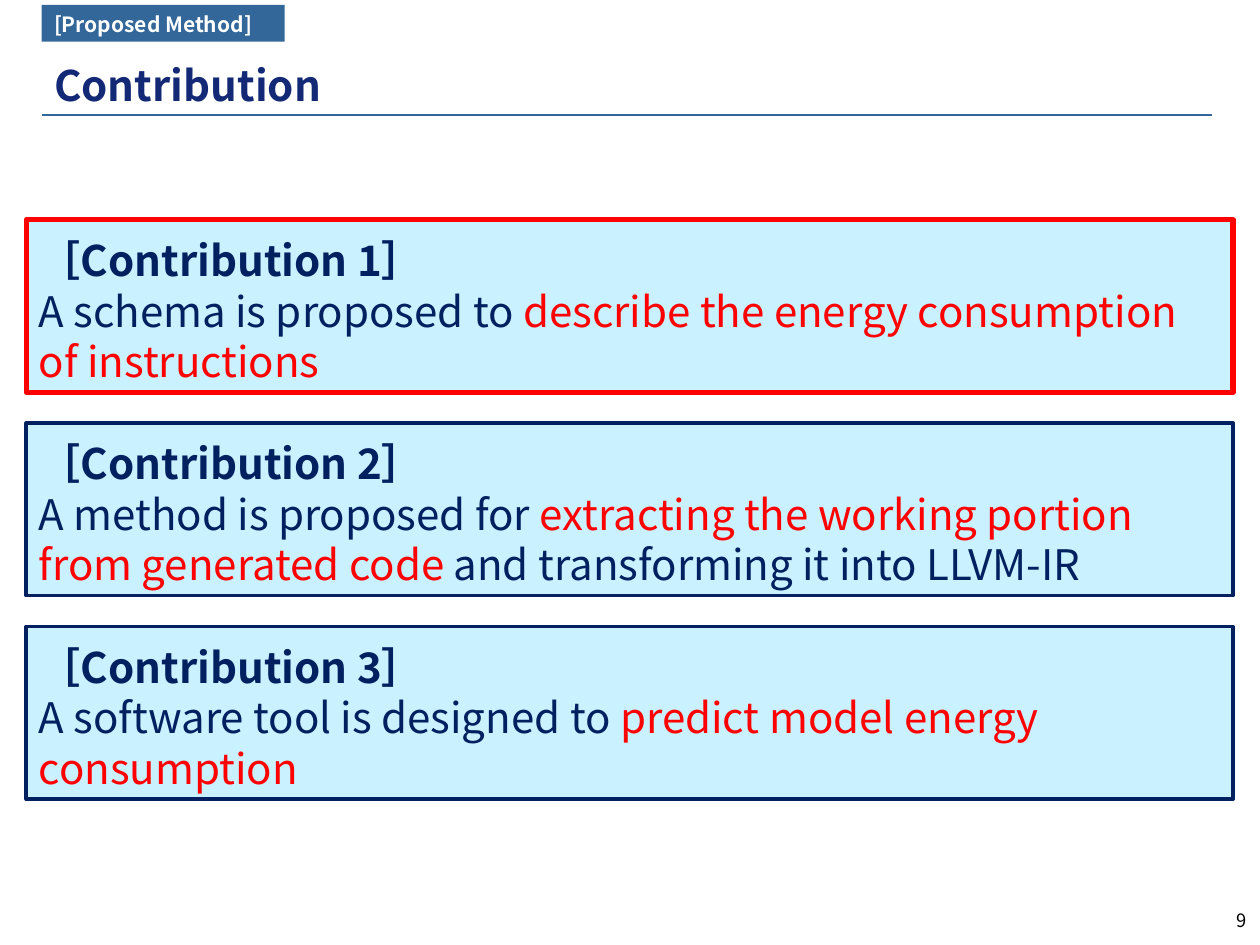
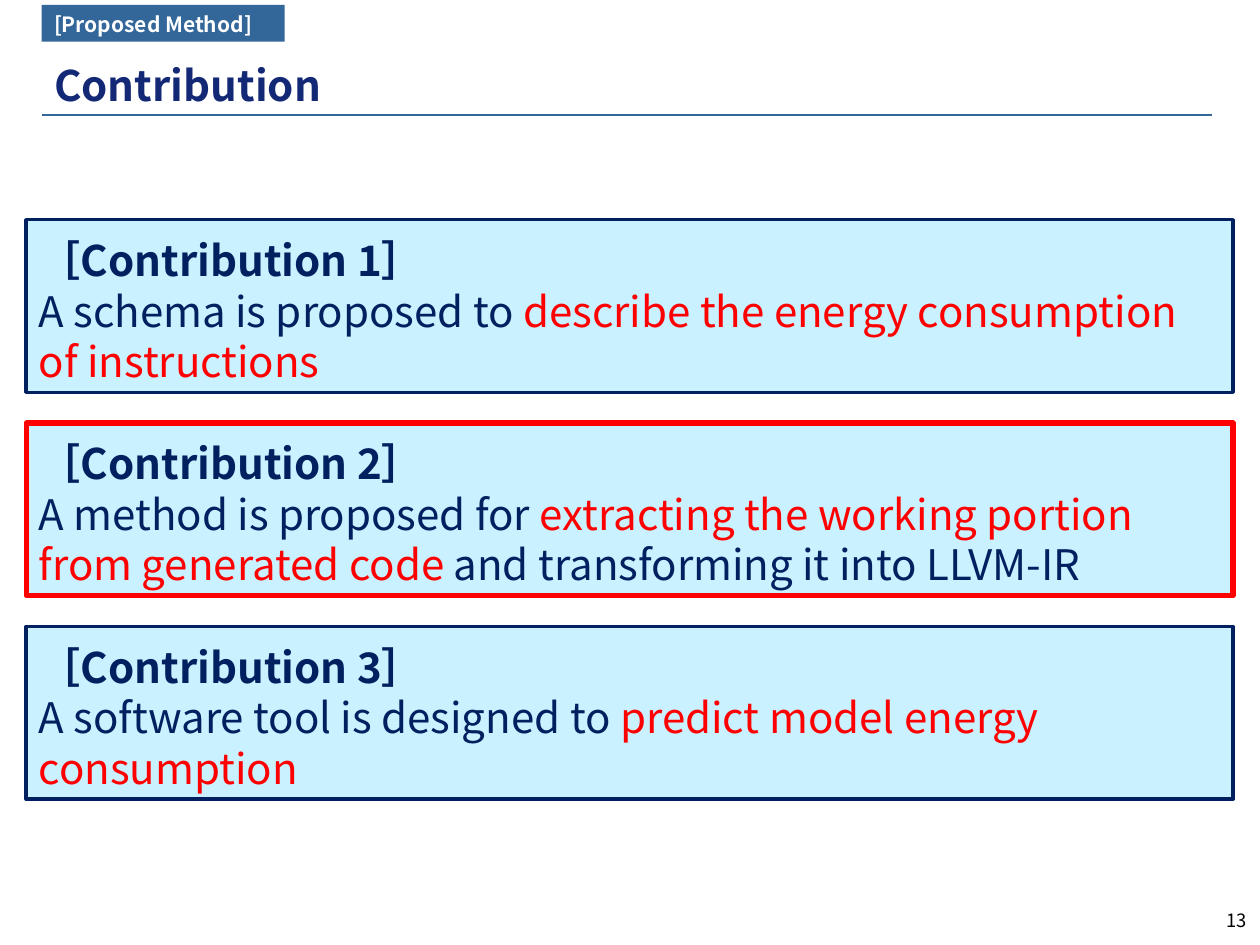
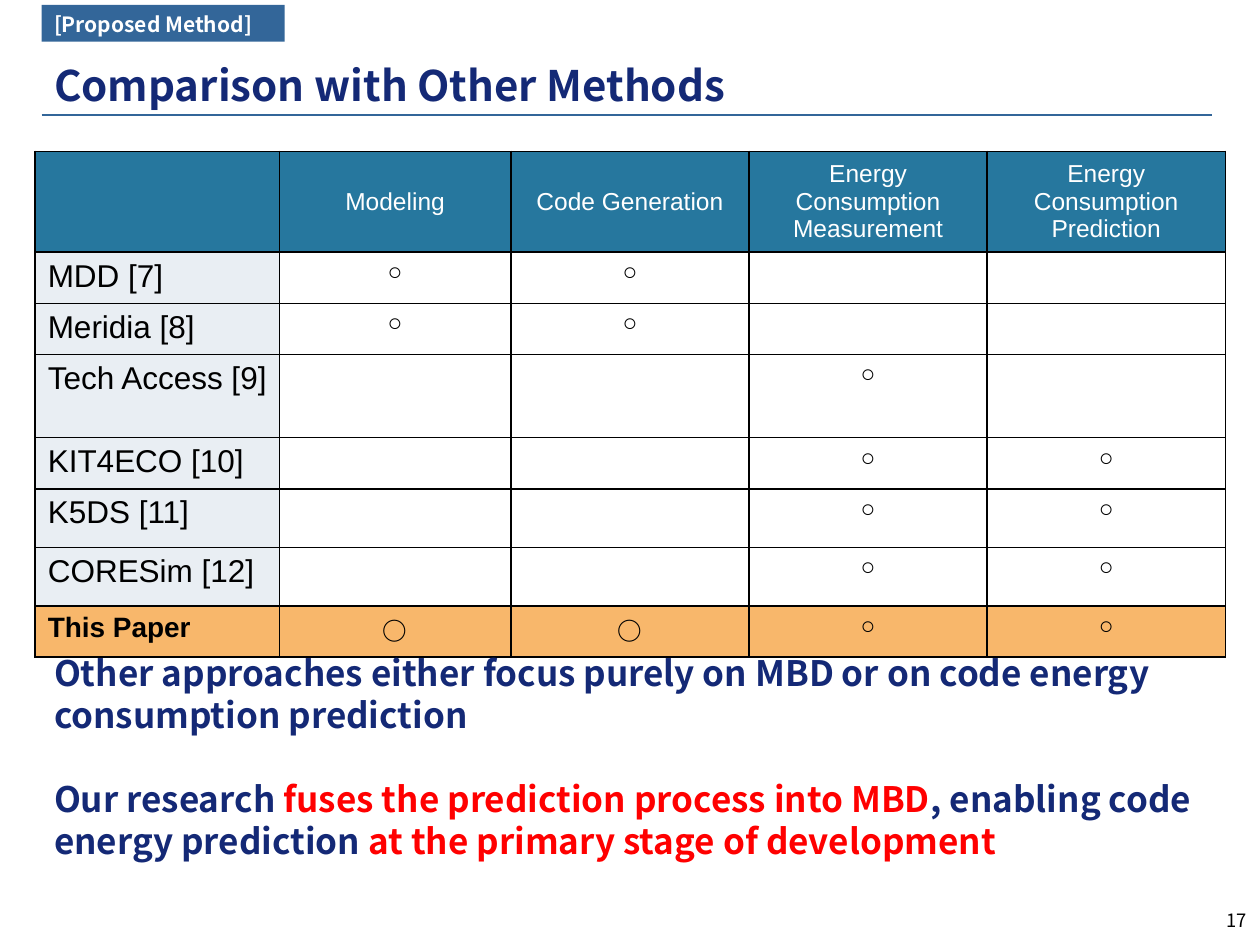
"""Builds three slides on the contributions and on the comparison of methods."""
from lxml.etree import SubElement
from pptx import Presentation
from pptx.dml.color import RGBColor
from pptx.enum.shapes import MSO_CONNECTOR, MSO_SHAPE
from pptx.enum.text import MSO_ANCHOR, PP_ALIGN
from pptx.oxml import parse_xml
from pptx.oxml.ns import nsdecls, qn
from pptx.util import Cm, Pt

SANS, ARIAL = "Noto Sans CJK JP", "Arial"
BLUE, TITLE, NAVY, RED = "336699", "142976", "002060", "FF0000"
WHITE, BLACK, PALE = "FFFFFF", "000000", "C9F1FF"
HEAD, LABEL, OURS = "26779E", "E9EEF3", "F8B76B"

SECTION = "[Proposed Method]"
CONTRIBUTIONS = [
    ("［Contribution 1］", [("A schema is proposed to ", NAVY),
                          ("describe the energy consumption of instructions", RED)]),
    ("［Contribution 2］", [("A method is proposed for ", NAVY),
                          ("extracting the working portion from generated code", RED),
                          (" and transforming it into LLVM-IR", NAVY)]),
    ("［Contribution 3］", [("A software tool is designed to ", NAVY),
                          ("predict model energy consumption", RED)]),
]
HEADERS = [[], ["Modeling"], ["Code Generation"],
           ["Energy Consumption", "Measurement"], ["Energy Consumption", "Prediction"]]
METHODS = [
    ("MDD [7]", (1, 2)),
    ("Meridia [8]", (1, 2)),
    ("Tech Access [9]", (3,)),
    ("KIT4ECO [10]", (3, 4)),
    ("K5DS [11]", (3, 4)),
    ("CORESim [12]", (3, 4)),
    ("This Paper", (1, 2, 3, 4)),
]
COLUMN_WIDTHS = [4.92, 4.67, 4.8, 4.8, 4.8]
ROW_HEIGHTS = [1.92, 1.03, 1.03, 1.68, 1.03, 1.18, 1.18, 1.03]
CONCLUSIONS = [
    [("Other approaches either focus purely on MBD or on code energy consumption prediction", TITLE)],
    [("Our research ", TITLE), ("fuses the prediction process into MBD", RED),
     (", enabling code energy prediction ", TITLE),
     ("at the primary stage of development", RED)],
]


def rgb(value):
    return RGBColor.from_string(value)


def add_span(para, text, size, color, bold=False, font=SANS):
    span = para.add_run()
    span.text = text
    for name, value in {"size": Pt(size), "bold": bold, "name": font}.items():
        setattr(span.font, name, value)
    span.font.color.rgb = rgb(color)
    SubElement(span._r.get_or_add_rPr(), qn("a:ea"), typeface=font)


def add_text(page, place, size, anchor=MSO_ANCHOR.TOP):
    frame = page.shapes.add_textbox(*map(Cm, place)).text_frame
    frame.word_wrap, frame.vertical_anchor = True, anchor
    return frame, style_para(frame.paragraphs[0], size)


def style_para(para, size, align=PP_ALIGN.LEFT):
    para.alignment = align
    para.line_spacing = Pt(size * 1.2)
    return para


def add_box(page, place, size, fill, line=None, width=0, top=0.13):
    box = page.shapes.add_shape(MSO_SHAPE.RECTANGLE, *map(Cm, place))
    box.shadow.inherit = False
    box.fill.solid()
    box.fill.fore_color.rgb = rgb(fill)
    if line:
        box.line.color.rgb, box.line.width = rgb(line), Pt(width)
    else:
        box.line.fill.background()
    frame = box.text_frame
    for name, value in {"word_wrap": True, "vertical_anchor": MSO_ANCHOR.TOP,
                        "margin_top": Cm(top)}.items():
        setattr(frame, name, value)
    return style_para(frame.paragraphs[0], size)


def add_page(deck, title, number):
    page = deck.slides.add_slide(deck.slide_layouts[6])
    rule = page.shapes.add_connector(MSO_CONNECTOR.STRAIGHT, Cm(0.84), Cm(2.32), Cm(24.43), Cm(2.32))
    rule.line.color.rgb, rule.line.width = rgb(BLUE), Pt(1.5)
    SubElement(rule._element.spPr, qn("a:effectLst"))
    para = add_text(page, (0.84, 1.07, 21.59, 1.27), 24, MSO_ANCHOR.MIDDLE)[1]
    add_span(para, title, 24, TITLE, True)
    para = add_text(page, (23.7, 18.21, 1.68, 0.84), 10.5)[1]
    para.alignment = PP_ALIGN.RIGHT
    add_span(para, number, 10.5, BLACK)
    para = add_box(page, (0.84, 0.1, 4.9, 0.74), 12, BLUE)
    add_span(para, SECTION, 12, WHITE, True)
    return page


def add_contributions(page, current):
    for index, (heading, parts) in enumerate(CONTRIBUTIONS):
        line, width = (RED, 3) if index == current else (NAVY, 2)
        place = (0.53, 4.43 + index * 4.1, 24.33, 3.48)
        para = add_box(page, place, 24, PALE, line, width, top=0.3)
        add_span(para, heading, 24, NAVY, True)
        para.add_line_break()
        for text, color in parts:
            add_span(para, text, 24, color)


def style_cell(cell, fill):
    cell.fill.solid()
    cell.fill.fore_color.rgb = rgb(fill)
    for position, side in enumerate(("lnL", "lnR", "lnT", "lnB")):
        border = parse_xml(f'<a:{side} {nsdecls("a")} w="12700"><a:solidFill>'
                           f'<a:srgbClr val="{BLACK}"/></a:solidFill></a:{side}>')
        cell._tc.get_or_add_tcPr().insert(position, border)


def add_comparison(page):
    place = (0.71, 3.05, sum(COLUMN_WIDTHS), sum(ROW_HEIGHTS))
    table = page.shapes.add_table(len(ROW_HEIGHTS), len(COLUMN_WIDTHS), *map(Cm, place)).table
    table.first_row = table.horz_banding = False
    for column, width in zip(table.columns, COLUMN_WIDTHS):
        column.width = Cm(width)
    for row, height in zip(table.rows, ROW_HEIGHTS):
        row.height = Cm(height)
    for column, lines in enumerate(HEADERS):
        cell = table.cell(0, column)
        style_cell(cell, HEAD)
        cell.vertical_anchor = MSO_ANCHOR.MIDDLE
        for index, text in enumerate(lines):
            frame = cell.text_frame
            para = frame.add_paragraph() if index else frame.paragraphs[0]
            para.alignment = PP_ALIGN.CENTER
            add_span(para, text, 14, WHITE, font=ARIAL)
    for row, (method, marks) in enumerate(METHODS, 1):
        ours = row == len(METHODS)
        for column in range(len(COLUMN_WIDTHS)):
            cell = table.cell(row, column)
            style_cell(cell, OURS if ours else WHITE if column else LABEL)
            para = cell.text_frame.paragraphs[0]
            if column == 0:
                add_span(para, method, 16 if ours else 18, BLACK, ours, ARIAL)
            elif column in marks:
                para.alignment = PP_ALIGN.CENTER
                add_span(para, "○", 14, BLACK, True, SANS if ours and column < 3 else ARIAL)


def add_conclusions(page):
    frame, para = add_text(page, (0.84, 13, 23.7, 4.52), 20)
    for index, parts in enumerate(CONCLUSIONS):
        if index:
            para = style_para(frame.add_paragraph(), 20)
            para.space_before = Pt(24)
        for text, color in parts:
            add_span(para, text, 20, color, True)


def main():
    deck = Presentation()
    deck.slide_width, deck.slide_height = Cm(25.4), Cm(19.05)
    for current, number in enumerate(("9", "13")):
        add_contributions(add_page(deck, "Contribution", number), current)
    page = add_page(deck, "Comparison with Other Methods", "17")
    add_comparison(page)
    add_conclusions(page)
    deck.save("out.pptx")


if __name__ == "__main__":
    main()
